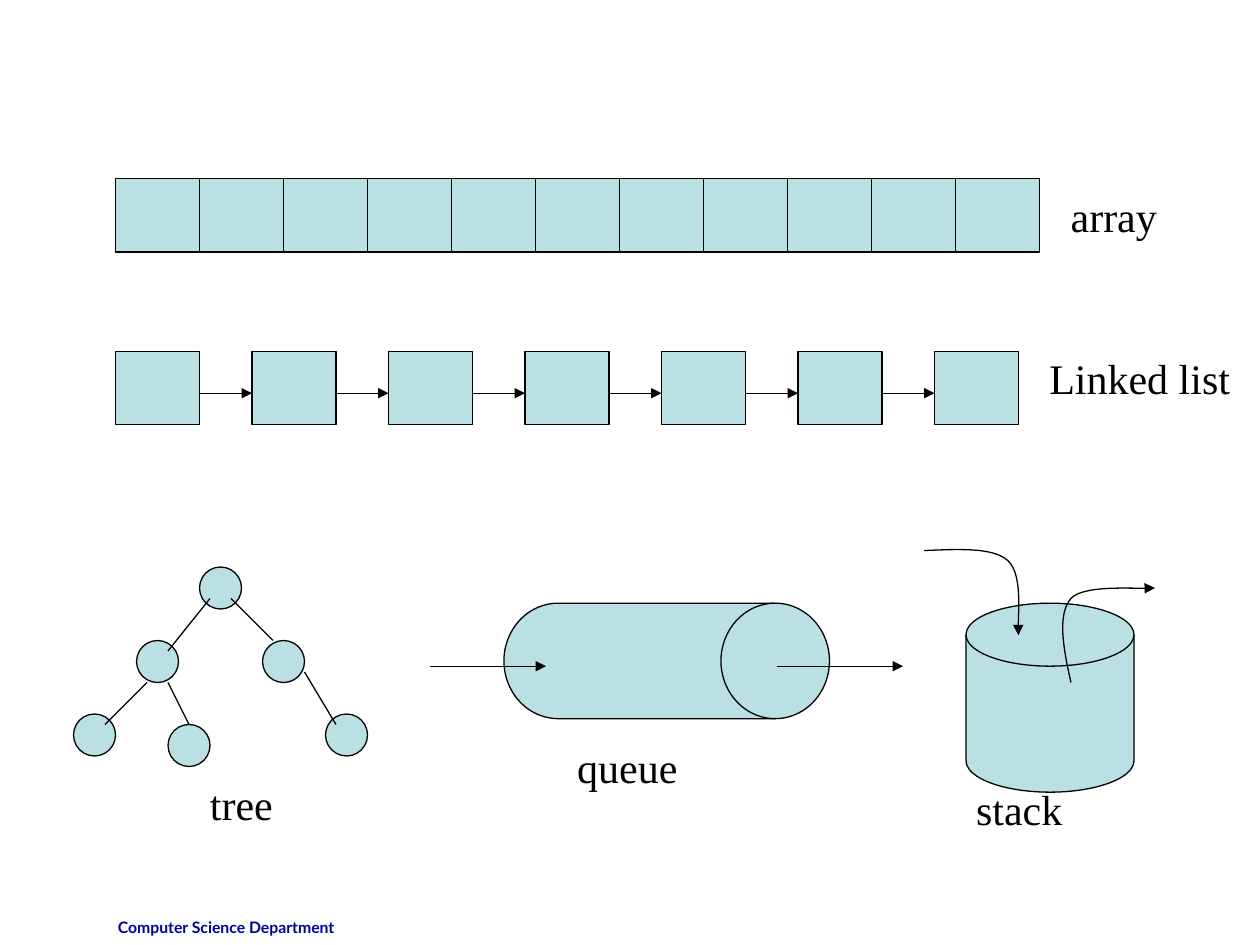
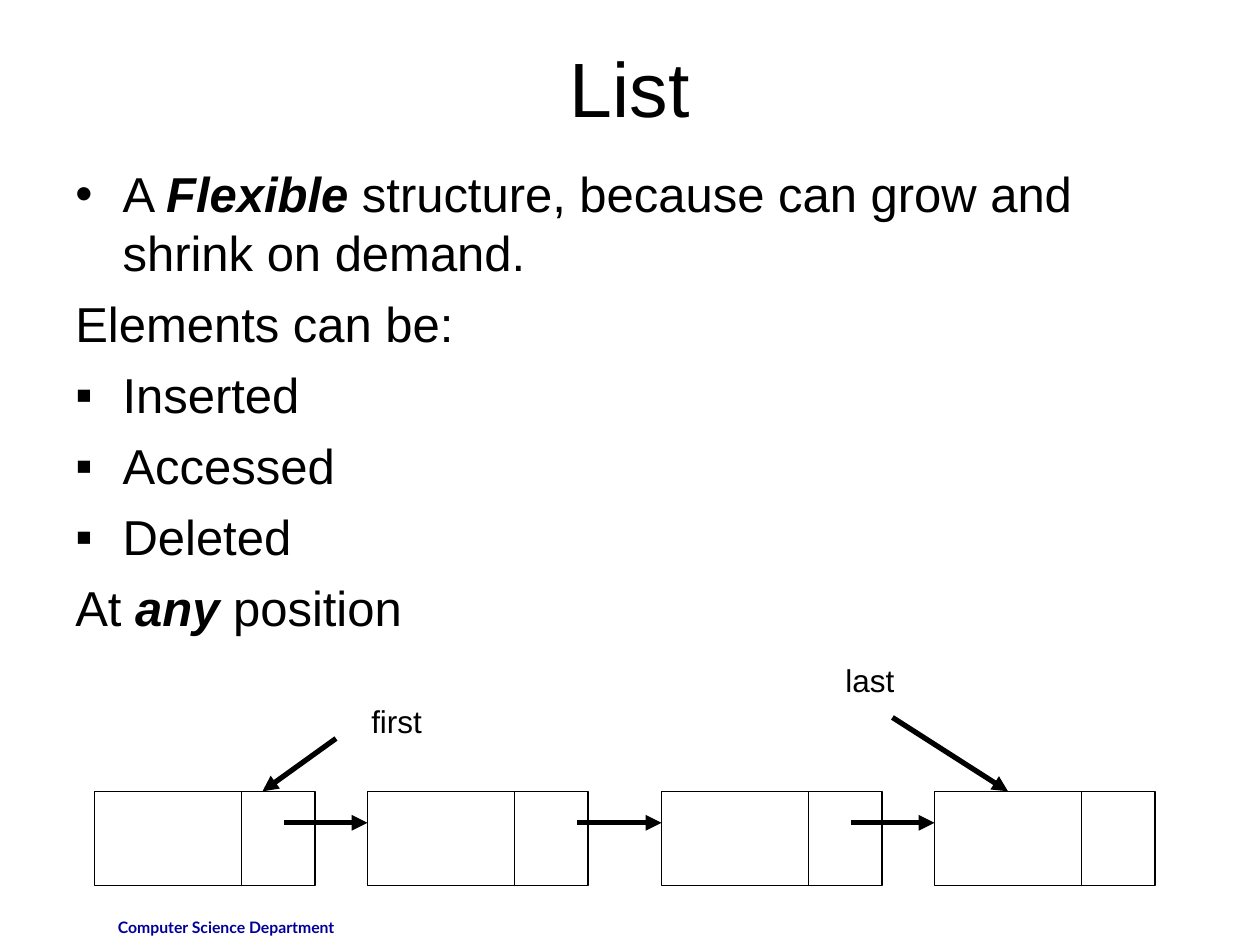
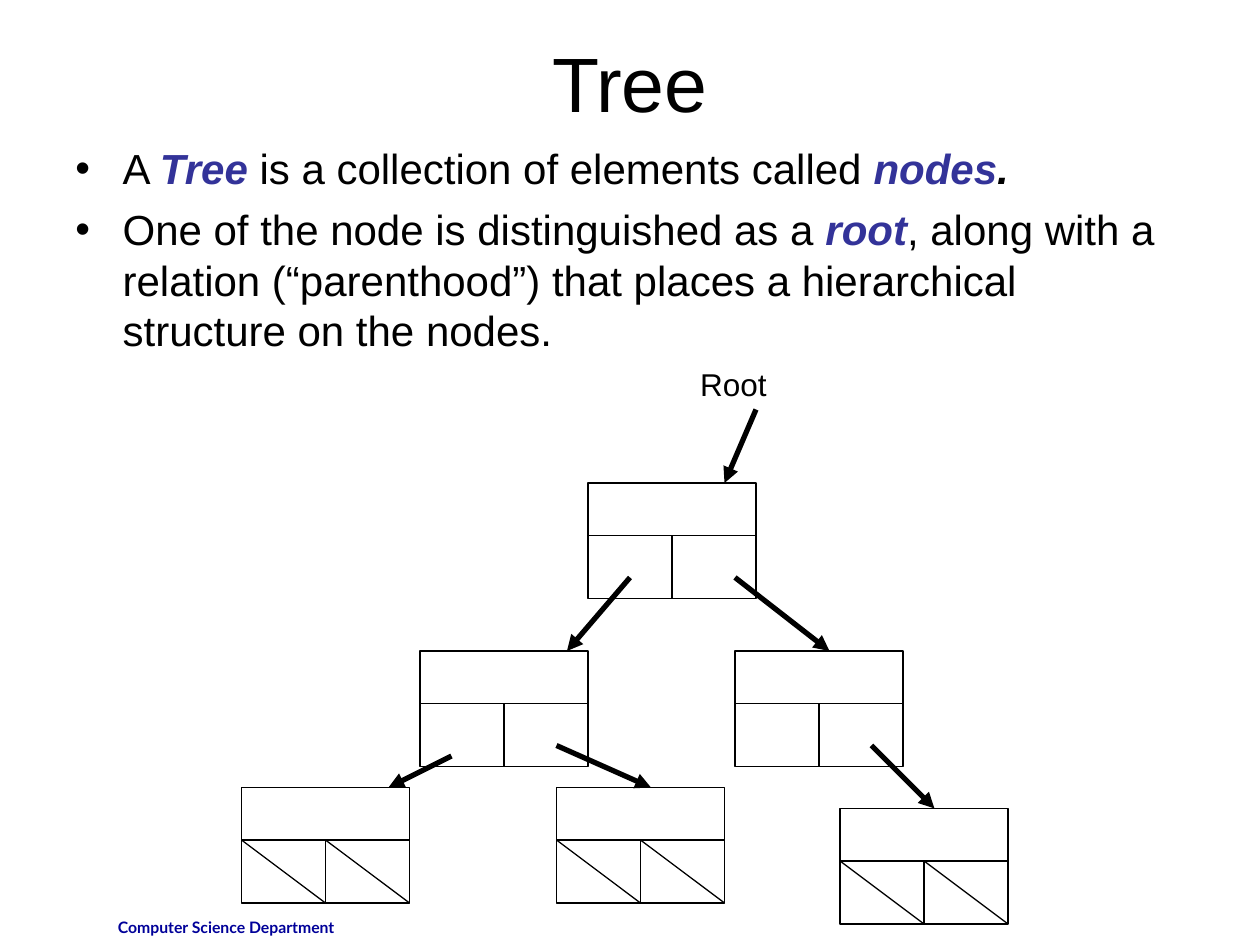
import lxml.etree
import pptx
import pptx.dml.color
import pptx.enum.shapes
import pptx.enum.text
import pptx.oxml.ns
import pptx.util

Pt = pptx.util.Pt
RGBColor = pptx.dml.color.RGBColor
Shape = pptx.enum.shapes.MSO_SHAPE
Align = pptx.enum.text.PP_ALIGN
Anchor = pptx.enum.text.MSO_ANCHOR
qn = pptx.oxml.ns.qn

BLACK = RGBColor(0x00, 0x00, 0x00)
WHITE = RGBColor(0xFF, 0xFF, 0xFF)
PALE_TEAL = RGBColor(0xBB, 0xE0, 0xE3)
INDIGO = RGBColor(0x33, 0x33, 0x99)
NAVY = RGBColor(0x00, 0x00, 0x99)

SANS = "Arial"
SERIF = "Times New Roman"
FOOTER_FONT = "Lato"
THIN, THICK = 0.75, 3
HANG = 27
STRONG = {"bold": True, "italic": True}
TERM = {**STRONG, "color": INDIGO}


def write(paragraph, text, size=18, font=SANS, color=BLACK, bold=False, italic=False):
    run = paragraph.add_run()
    run.text = text
    run.font.size = Pt(size)
    run.font.name = font
    run.font.color.rgb = color
    run.font.bold = bold
    run.font.italic = italic


def add_bullet(paragraph, symbol):
    properties = paragraph._p.get_or_add_pPr()
    properties.set("marL", str(Pt(HANG)))
    properties.set("indent", str(-Pt(HANG)))
    if symbol:
        lxml.etree.SubElement(properties, qn("a:buFont"), typeface=SANS)
        lxml.etree.SubElement(properties, qn("a:buChar"), char=symbol)


def bezier(p0, p1, p2, p3, steps=16):
    for step in range(1, steps + 1):
        t = step / steps
        weights = ((1 - t) ** 3, 3 * t * (1 - t) ** 2, 3 * t * t * (1 - t), t ** 3)
        yield tuple(
            sum(w * p[axis] for w, p in zip(weights, (p0, p1, p2, p3)))
            for axis in (0, 1)
        )


class Deck:
    def __init__(self):
        self.presentation = pptx.Presentation()
        self.presentation.slide_width = Pt(720)
        self.presentation.slide_height = Pt(540)
        self.slide = None

    def new_slide(self, title=None, title_height=56):
        self.slide = self.presentation.slides.add_slide(
            self.presentation.slide_layouts[6])
        self.slide.background.fill.solid()
        self.slide.background.fill.fore_color.rgb = WHITE
        footer = self.text_frame(30, 521, 168, 19).paragraphs[0]
        footer.alignment = Align.RIGHT
        write(footer, "Computer Science Department", size=9, font=FOOTER_FONT,
              color=NAVY, bold=True)
        if title:
            frame = self.text_frame(36, 21.6, 648, title_height)
            frame.vertical_anchor = Anchor.MIDDLE
            frame.paragraphs[0].alignment = Align.CENTER
            write(frame.paragraphs[0], title, size=44)

    def text_frame(self, x, y, width, height):
        box = self.slide.shapes.add_textbox(Pt(x), Pt(y), Pt(width), Pt(height))
        box.text_frame.word_wrap = True
        return box.text_frame

    def label(self, text, right, y, width, height=28.8, **text_format):
        frame = self.text_frame(right - width, y, width, height)
        frame.paragraphs[0].alignment = Align.RIGHT
        write(frame.paragraphs[0], text, **text_format)

    def body(self, y, height, size, gap, items):
        frame = self.text_frame(36, y, 648, height)
        for index, (symbol, runs) in enumerate(items):
            paragraph = frame.add_paragraph() if index else frame.paragraphs[0]
            add_bullet(paragraph, symbol)
            if index:
                paragraph.space_before = Pt(gap)
            for text, emphasis in runs:
                write(paragraph, text, size=size, **emphasis)

    def stroke(self, line, weight=THIN, arrow=False):
        line.color.rgb = BLACK
        line.width = Pt(weight)
        if arrow:
            lxml.etree.SubElement(line._get_or_add_ln(), qn("a:tailEnd"), type="triangle")

    def shape(self, kind, x, y, width, height, fill=None):
        shape = self.slide.shapes.add_shape(kind, Pt(x), Pt(y), Pt(width), Pt(height))
        shape.shadow.inherit = False
        if fill is None:
            shape.fill.background()
        else:
            shape.fill.solid()
            shape.fill.fore_color.rgb = fill
        self.stroke(shape.line)

    def line(self, x1, y1, x2, y2, weight=THIN, arrow=False):
        connector = self.slide.shapes.add_connector(
            pptx.enum.shapes.MSO_CONNECTOR.STRAIGHT, Pt(x1), Pt(y1), Pt(x2), Pt(y2))
        self.stroke(connector.line, weight, arrow)
        lxml.etree.SubElement(connector._element.spPr, qn("a:effectLst"))

    def pointer(self, x1, y1, x2, y2):
        self.line(x1, y1, x2, y2, weight=THICK, arrow=True)

    def curved_arrow(self, start, *segments):
        builder = self.slide.shapes.build_freeform(Pt(start[0]), Pt(start[1]))
        for control1, control2, end in segments:
            points = bezier(start, control1, control2, end)
            builder.add_line_segments([(Pt(x), Pt(y)) for x, y in points], close=False)
            start = end
        curve = builder.convert_to_shape()
        curve.shadow.inherit = False
        curve.fill.background()
        self.stroke(curve.line, arrow=True)

    def list_node(self, x, y):
        self.shape(Shape.RECTANGLE, x, y, 126, 54)
        self.line(x + 84, y, x + 84, y + 54)

    def tree_node(self, x, y, leaf=False):
        half, header, height = 48, 30, 66
        self.shape(Shape.RECTANGLE, x, y, 2 * half, height)
        self.line(x, y + header, x + 2 * half, y + header)
        self.line(x + half, y + header, x + half, y + height)
        if leaf:
            for left in (x, x + half):
                self.line(left, y + header, left + half, y + height)


def build_overview(deck):
    deck.new_slide()
    cell_width, cell_height, left = 48, 42, 66
    for index in range(11):
        deck.shape(Shape.RECTANGLE, left + index * cell_width, 102,
                   cell_width, cell_height, PALE_TEAL)

    link_gap, list_length = 30, 7
    for index in range(list_length):
        x = left + index * (cell_width + link_gap)
        deck.shape(Shape.RECTANGLE, x, 200.7, cell_width, cell_height, PALE_TEAL)
        if index < list_length - 1:
            deck.line(x + cell_width, 224.7, x + cell_width + link_gap, 224.7, arrow=True)

    for x, y in ((114, 324), (78, 366), (42, 408), (150, 366), (186, 408), (96, 414)):
        deck.shape(Shape.OVAL, x, y, 24, 24, PALE_TEAL)
    for branch in ((120, 342, 96, 372), (84, 390, 60, 414), (132, 342, 156, 366),
                   (174, 384, 192, 414), (96, 390, 108, 414)):
        deck.line(*branch)

    deck.shape(Shape.FLOWCHART_DIRECT_ACCESS_STORAGE, 288, 344.7, 186, 66, PALE_TEAL)
    deck.line(246, 380.7, 312, 380.7, arrow=True)
    deck.line(444, 380.7, 516, 380.7, arrow=True)

    deck.shape(Shape.FLOWCHART_MAGNETIC_DISK, 552, 344.7, 96, 108, PALE_TEAL)
    deck.curved_arrow((528, 314.6),
                      ((547.2, 313.9), (567.4, 312.5), (576, 320.4)),
                      ((585.4, 329), (581, 355.7), (582, 363)))
    deck.curved_arrow((612, 390),
                      ((607.7, 370.8), (604, 351.4), (612, 342)),
                      ((620, 333.4), (652.3, 337), (660, 336)))

    for text, right, y, width in (("array", 668.2, 105.1, 66),
                                  ("Linked list", 710, 198, 120),
                                  ("tree", 163, 441.4, 53),
                                  ("queue", 394.2, 420, 74),
                                  ("stack", 614.2, 444.2, 66)):
        deck.label(text, right, y, width, 36, size=24, font=SERIF)


def build_list(deck):
    deck.new_slide("List")
    deck.body(90, 392.4, 28, 7, (
        ("•", (("A ", {}), ("Flexible ", STRONG),
               ("structure, because can grow and shrink on demand.", {}))),
        (None, (("Elements can be:", {}),)),
        ("▪", (("Inserted", {}),)),
        ("▪", (("Accessed", {}),)),
        ("▪", (("Deleted", {}),)),
        (None, (("At ", {}), ("any ", STRONG), ("position", {}))),
    ))
    node_top = 452.2
    node_lefts = (54, 210, 378, 534)
    for x in node_lefts:
        deck.list_node(x, node_top)
    for x in node_lefts[1:]:
        deck.pointer(x - 48, node_top + 18, x, node_top + 18)
    deck.pointer(192, 422, 150, node_top)
    deck.label("first", 248.2, 397.4, 46)
    deck.pointer(510, 410, 576, node_top)
    deck.label("last", 518.2, 374.4, 46)


def build_tree(deck):
    deck.new_slide("Tree", title_height=50.4)
    deck.body(78, 404.6, 24, 6, (
        ("•", (("A ", {}), ("Tree ", TERM),
               ("is a collection of elements called ", {}),
               ("nodes", TERM), (".", STRONG))),
        ("•", (("One of the node is distinguished as a ", {}), ("root", TERM),
               (", along with a relation (“parenthood”) that places a "
                "hierarchical structure on the nodes.", {}))),
    ))
    for x, y in ((336, 276), (420, 372), (240, 372)):
        deck.tree_node(x, y)
    for x, y in ((318, 450), (138, 450), (480, 462)):
        deck.tree_node(x, y, leaf=True)
    for ends in ((432, 234, 414, 276), (360, 330, 324, 372), (420, 330, 474, 372),
                 (258, 432, 222, 450), (318, 426, 372, 450), (498, 426, 534, 462)):
        deck.pointer(*ends)
    deck.label("Root", 445.2, 205.2, 56)


def main():
    deck = Deck()
    build_overview(deck)
    build_list(deck)
    build_tree(deck)
    deck.presentation.save("out.pptx")


if __name__ == "__main__":
    main()
